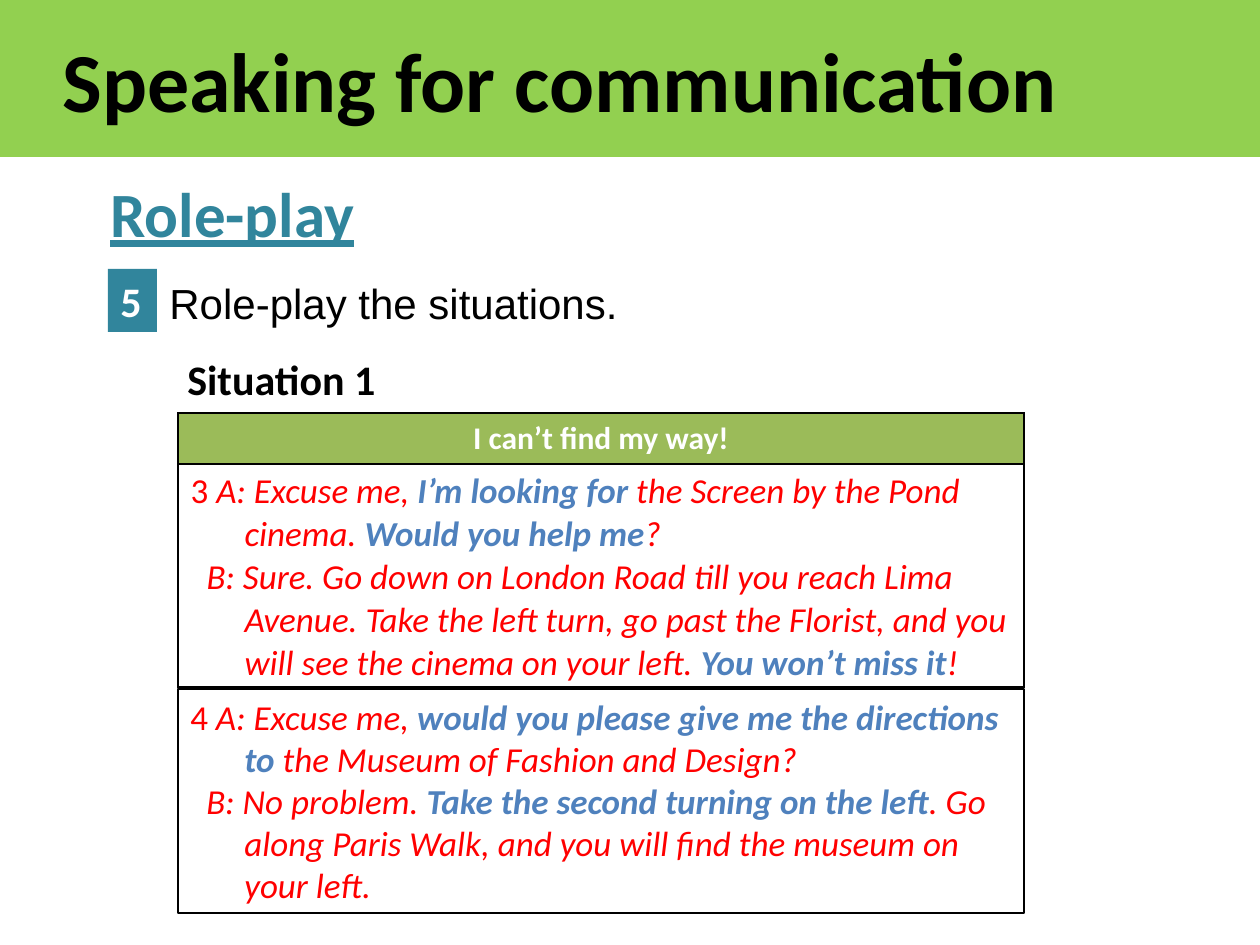
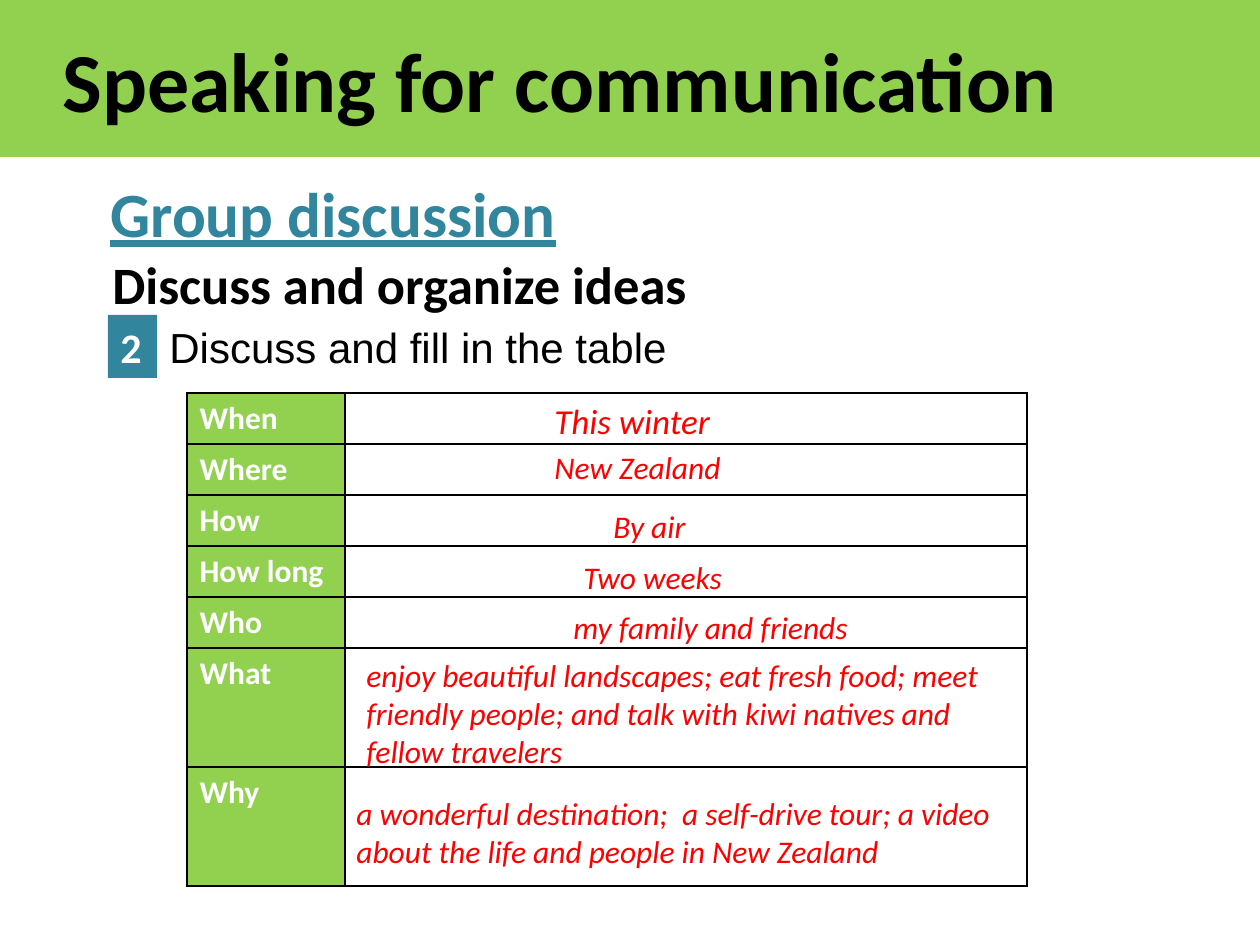
from lxml.etree import SubElement
from pptx import Presentation
from pptx.dml.color import RGBColor
from pptx.enum.shapes import MSO_SHAPE as Shape
from pptx.enum.text import MSO_ANCHOR as Anchor, MSO_AUTO_SIZE as AutoSize, PP_ALIGN as Align
from pptx.oxml.ns import qn
from pptx.util import Pt

EMU_PER_PX = 914400 / 126
SLIDE_W, SLIDE_H = 1260, 945
TITLE_ONLY = 5

COLORS = {
    "band": "92D050", "teal": "31859C", "header": "9BBB59", "white": "FFFFFF",
    "black": "000000", "red": "FF0000", "blue": "4F81BD",
}
FORMATS = {
    "title": dict(size=48, bold=True, color="black"),
    "heading": dict(size=36, bold=True, underline=True, color="teal"),
    "subheading": dict(size=30, bold=True, color="black"),
    "number": dict(size=24, bold=True, color="white"),
    "task": dict(size=24, name="Arial", color="black"),
    "situation": dict(size=24, bold=True, color="black"),
    "label": dict(size=18, bold=True, color="white"),
    "turn": dict(size=20, color="red"),
    "speech": dict(size=20, italic=True, color="red"),
    "phrase": dict(size=20, italic=True, bold=True, color="blue"),
    "answer": dict(size=18, italic=True, color="red"),
    "first answer": dict(size=20, italic=True, color="red"),
}

TITLE = "Speaking for communication"

# Each paragraph of a dialogue: first-line offset in px, then its runs
DIALOGUE_3 = [
    (0, [("3 ", "turn"), ("A: Excuse me, ", "speech"), ("I’m looking for ", "phrase"),
         ("the Screen by the Pond cinema.", "speech"),
         (" Would you help me", "phrase"), ("?", "speech")]),
    (16, [("B: Sure. Go down on London Road till you reach Lima Avenue. Take the left turn, "
           "go past the Florist, and you will see the cinema on your left. ", "speech"),
          ("You won’t miss it", "phrase"), ("!", "speech")]),
]
DIALOGUE_4 = [
    (0, [("4", "turn"), (" A: Excuse me, ", "speech"),
         ("would you please give me the directions to ", "phrase"),
         ("the Museum of Fashion and Design?", "speech")]),
    (16, [("B: No problem. ", "speech"), ("Take the second turning on the left", "phrase"),
          (". Go along Paris Walk, and you will find the museum on your left.", "speech")]),
]
DIALOGUE_INDENT = 54

# Question, row height, answer, answer box (left, top, width, height), format
PLAN = [
    ("When", 51, "This winter", (542, 393, 186, 55), "first answer"),
    ("Where", 51, "New Zealand", (542, 442, 335, 51), "answer"),
    ("How", 51, "By air", (601, 501, 246, 51), "answer"),
    ("How long", 51, "Two weeks", (571, 552, 256, 51), "answer"),
    ("Who", 51, "my family and friends", (561, 602, 305, 51), "answer"),
    ("What", 119, "enjoy beautiful landscapes; eat fresh food; meet friendly people; "
     "and talk with kiwi natives and fellow travelers", (354, 650, 689, 127), "answer"),
    ("Why", 119, "a wonderful destination;  a self-drive tour; a video about the life "
     "and people in New Zealand", (344, 788, 689, 89), "answer"),
]


def px(*lengths):
    return [round(length * EMU_PER_PX) for length in lengths]


def color(key):
    return RGBColor.from_string(COLORS[key])


def paint(fill, key):
    fill.solid()
    fill.fore_color.rgb = color(key)


def add_run(paragraph, words, look):
    run = paragraph.add_run()
    run.text = words
    settings = {"name": "Calibri", "italic": False, "bold": False, **FORMATS[look]}
    run.font.color.rgb = color(settings.pop("color"))
    settings["size"] = Pt(settings["size"])
    for attribute, value in settings.items():
        setattr(run.font, attribute, value)


def set_indent(paragraph, left, first_line):
    properties = paragraph._p.get_or_add_pPr()
    for attribute, length in zip(("marL", "indent"), px(left, first_line)):
        properties.set(attribute, str(length))


def write_dialogue(frame, dialogue):
    for index, (offset, runs) in enumerate(dialogue):
        paragraph = frame.add_paragraph() if index else frame.paragraphs[0]
        paragraph.alignment = Align.LEFT
        set_indent(paragraph, DIALOGUE_INDENT, offset - DIALOGUE_INDENT)
        for words, look in runs:
            add_run(paragraph, words, look)


def add_text(slide, box, words, look, wrap=True):
    frame = slide.shapes.add_textbox(*px(*box)).text_frame
    frame.word_wrap = wrap
    add_run(frame.paragraphs[0], words, look)


def add_box(slide, box, fill=None, line=None):
    """Add a flat rectangle whose text starts at the top left."""
    shape = slide.shapes.add_shape(Shape.RECTANGLE, *px(*box))
    shape.shadow.inherit = False
    if fill:
        paint(shape.fill, fill)
    else:
        shape.fill.background()
    if line:
        shape.line.color.rgb = color(line)
        shape.line.width = Pt(0.75)
    else:
        shape.line.fill.background()
    frame = shape.text_frame
    frame.vertical_anchor = Anchor.TOP
    frame.paragraphs[0].alignment = Align.LEFT
    return frame


def add_grid(slide, left, top, widths, heights):
    """Add a plain table with thin black borders and white cells."""
    box = px(left, top, sum(widths), sum(heights))
    table = slide.shapes.add_table(len(heights), len(widths), *box).table
    table.first_row = table.horz_banding = False
    for column, width in zip(table.columns, px(*widths)):
        column.width = width
    for row, height in zip(table.rows, px(*heights)):
        row.height = height
    for cell in table.iter_cells():
        properties = cell._tc.get_or_add_tcPr()
        for side in ("a:lnL", "a:lnR", "a:lnT", "a:lnB"):
            border = SubElement(properties, qn(side), w=str(Pt(1)))
            solid = SubElement(border, qn("a:solidFill"))
            SubElement(solid, qn("a:srgbClr"), val=COLORS["black"])
        paint(cell.fill, "white")
    return table


def label_cell(cell, words, fill, alignment=Align.LEFT):
    paint(cell.fill, fill)
    paragraph = cell.text_frame.paragraphs[0]
    paragraph.alignment = alignment
    add_run(paragraph, words, "label")


def start_slide(deck, heading, heading_width):
    slide = deck.slides.add_slide(deck.slide_layouts[TITLE_ONLY])
    band = slide.shapes.title
    band.left, band.top, band.width, band.height = px(0, 0, SLIDE_W, 157)
    paint(band.fill, "band")
    frame = band.text_frame
    frame.auto_size = AutoSize.NONE
    frame.vertical_anchor = Anchor.MIDDLE
    paragraph = frame.paragraphs[0]
    paragraph.alignment = Align.LEFT
    set_indent(paragraph, 0, 50)
    add_run(paragraph, TITLE, "title")
    add_text(slide, (98, 168, heading_width, 89), heading, "heading", wrap=False)
    return slide


def add_task(slide, number, number_top, task, task_top):
    badge = add_box(slide, (108, number_top, 49, 63), fill="teal")
    add_run(badge.paragraphs[0], number, "number")
    add_text(slide, (157, task_top, 925, 63), task, "task")


def build_role_play(deck):
    slide = start_slide(deck, "Role-play", 272)
    add_task(slide, "5", 269, "Role-play the situations.", 271)
    add_text(slide, (175, 347, 907, 63), "Situation 1", "situation")
    table = add_grid(slide, 178, 413, [846], [51, 223])
    label_cell(table.cell(0, 0), "I can’t find my way!", "header", Align.CENTER)
    write_dialogue(table.cell(1, 0).text_frame, DIALOGUE_3)
    write_dialogue(add_box(slide, (178, 689, 846, 224), line="black"), DIALOGUE_4)


def build_group_discussion(deck):
    slide = start_slide(deck, "Group discussion", 476)
    add_text(slide, (100, 246, 648, 77), "Discuss and organize ideas", "subheading")
    add_task(slide, "2", 315, "Discuss and fill in the table", 315)
    heights = [height for _, height, *_ in PLAN]
    table = add_grid(slide, 187, 393, [158, 682], heights)
    for row, (question, _, answer, box, look) in enumerate(PLAN):
        label_cell(table.cell(row, 0), question, "band")
        add_text(slide, box, answer, look)


def main():
    deck = Presentation()
    deck.slide_width, deck.slide_height = px(SLIDE_W, SLIDE_H)
    build_role_play(deck)
    build_group_discussion(deck)
    deck.save("out.pptx")


if __name__ == "__main__":
    main()
